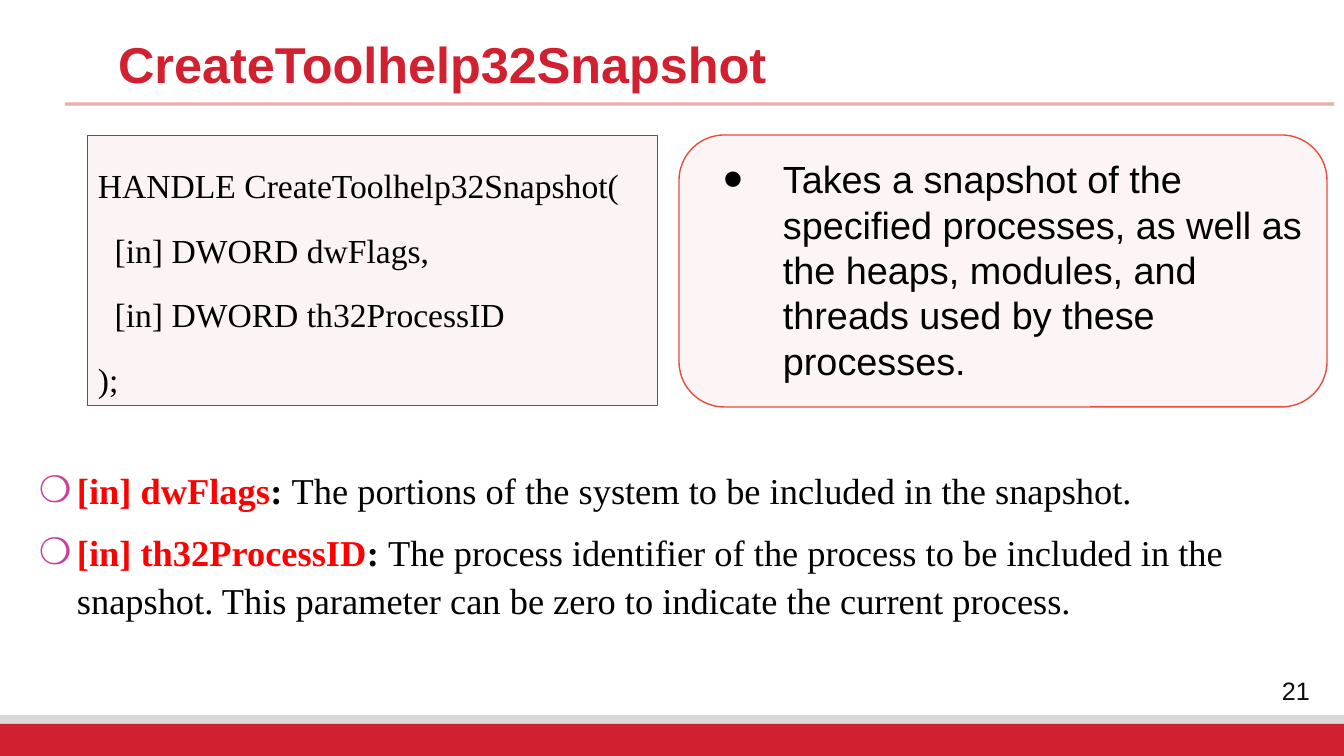
from lxml import etree
from pptx import Presentation
from pptx.dml.color import RGBColor
from pptx.enum.shapes import MSO_CONNECTOR, MSO_SHAPE as SHAPE
from pptx.enum.text import MSO_ANCHOR as ANCHOR, PP_ALIGN as ALIGN
from pptx.oxml.ns import qn
from pptx.util import Emu, Pt

PX = 914400 / 100.8
RED = RGBColor(0xD1, 0x20, 0x2F)
CORAL = RGBColor(0xE7, 0x4C, 0x3C)
RULE = RGBColor(0xC0, 0x00, 0x00)
GREY = RGBColor(0xD9, 0xD9, 0xD9)
PINK = RGBColor(0xCA, 0x3E, 0x9D)
BRIGHT_RED = RGBColor(0xFF, 0x00, 0x00)
BLACK = RGBColor(0x00, 0x00, 0x00)
NEAR_BLACK = RGBColor(0x0D, 0x0D, 0x0D)
SANS, SERIF = "Arial", "Times New Roman"

CODE = [
    "HANDLE CreateToolhelp32Snapshot(",
    "  [in] DWORD dwFlags,",
    "  [in] DWORD th32ProcessID",
    ");",
]
PURPOSE = ("Takes a snapshot of the specified processes, as well as the heaps, "
           "modules, and threads used by these processes.")
PARAMETERS = [
    ("[in] dwFlags", "The portions of the system to be included in the snapshot."),
    ("[in] th32ProcessID", "The process identifier of the process to be included in the "
     "snapshot. This parameter can be zero to indicate the current process."),
]


def px(n):
    return Emu(round(n * PX))


def box(*lengths):
    return [px(n) for n in lengths]


def style(font, name, size, color, bold=False):
    font.name, font.size, font.bold = name, Pt(size), bold
    font.color.rgb = color


def set_alpha(parent, percent):
    color = parent.find(".//" + qn("a:srgbClr"))
    etree.SubElement(color, qn("a:alpha")).set("val", str(percent * 1000))


def add_bullet(p, char, left, hang, color=None, size=None):
    pPr = p._p.get_or_add_pPr()
    pPr.set("marL", str(px(left)))
    pPr.set("indent", str(-px(hang)))
    if color is not None:
        bu_color = etree.SubElement(pPr, qn("a:buClr"))
        etree.SubElement(bu_color, qn("a:srgbClr")).set("val", str(color))
    if size:
        etree.SubElement(pPr, qn("a:buSzPct")).set("val", str(size * 1000))
    etree.SubElement(pPr, qn("a:buFont")).set("typeface", SANS)
    etree.SubElement(pPr, qn("a:buChar")).set("char", char)


def add_panel(s, kind, area, color, width=None, alpha=None):
    sp = s.shapes.add_shape(kind, *box(*area))
    sp.shadow.inherit = False
    sp.fill.solid()
    sp.fill.fore_color.rgb = color
    if alpha:
        set_alpha(sp._element.spPr.find(qn("a:solidFill")), alpha)
    if width:
        sp.line.color.rgb = color
        sp.line.width = Pt(width)
    else:
        sp.line.fill.background()
    return sp


def add_text(s, area, anchor=ANCHOR.TOP):
    tf = s.shapes.add_textbox(*box(*area)).text_frame
    tf.word_wrap = True
    tf.vertical_anchor = anchor
    return tf


def add_rule(s, x1, x2, y):
    line = s.shapes.add_connector(MSO_CONNECTOR.STRAIGHT, *box(x1, y, x2, y))
    line.line.color.rgb = RULE
    line.line.width = Pt(2.25)
    spPr = line._element.spPr
    set_alpha(spPr, 32)
    etree.SubElement(spPr, qn("a:effectLst"))


def add_title(s, text):
    title = s.shapes.title
    title.left, title.top, title.width, title.height = box(108, 35, 1146, 48)
    tf = title.text_frame
    tf.text = text
    tf.word_wrap = True
    tf.vertical_anchor = ANCHOR.TOP
    p = tf.paragraphs[0]
    p.alignment, p.line_spacing = ALIGN.LEFT, 0.9
    style(p.runs[0].font, SANS, 36, RED, True)


def add_code(s):
    tf = add_panel(s, SHAPE.RECTANGLE, (88, 136, 570, 270), RED, 0.75, 5).text_frame
    tf.word_wrap = True
    tf.vertical_anchor = ANCHOR.TOP
    tf.text = "\n".join(CODE)
    for p in tf.paragraphs:
        p.alignment, p.line_spacing = ALIGN.LEFT, 1.6
        style(p.runs[0].font, SERIF, 24, BLACK)


def add_purpose(s):
    add_panel(s, SHAPE.ROUNDED_RECTANGLE, (679, 135, 648, 272), CORAL, 1, 5)
    tf = add_text(s, (694, 151, 619, 239))
    tf.text = PURPOSE
    p = tf.paragraphs[0]
    add_bullet(p, "•", 79, 59, size=150)
    style(p.runs[0].font, SANS, 27, BLACK)


def add_parameters(s):
    tf = add_text(s, (29, 459, 1285, 187))
    for i, (name, meaning) in enumerate(PARAMETERS):
        p = tf.add_paragraph() if i else tf.paragraphs[0]
        p.line_spacing, p.space_after = 1.1, Pt(10)
        add_bullet(p, "❍", 38, 38, PINK)
        for text, color, bold in ((name, BRIGHT_RED, True), (": ", BLACK, True),
                                  (meaning, BLACK, False)):
            r = p.add_run()
            r.text = text
            style(r.font, SERIF, 26, color, bold)


def add_footer(s, number):
    add_panel(s, SHAPE.RECTANGLE, (0, 715, 1344, 41), GREY)
    add_panel(s, SHAPE.RECTANGLE, (0, 724, 1344, 32), RED)
    tf = add_text(s, (1250, 670, 92, 40), ANCHOR.MIDDLE)
    tf.text = number
    p = tf.paragraphs[0]
    p.alignment = ALIGN.CENTER
    style(p.runs[0].font, SANS, 18, NEAR_BLACK)


def main():
    """Build the slide on the CreateToolhelp32Snapshot function."""
    prs = Presentation()
    prs.slide_width, prs.slide_height = box(1344, 756)
    s = prs.slides.add_slide(prs.slide_layouts[5])
    add_footer(s, "21")
    add_rule(s, 65, 1334, 104)
    add_title(s, "CreateToolhelp32Snapshot")
    add_parameters(s)
    add_code(s)
    add_purpose(s)
    prs.save("out.pptx")


if __name__ == "__main__":
    main()
